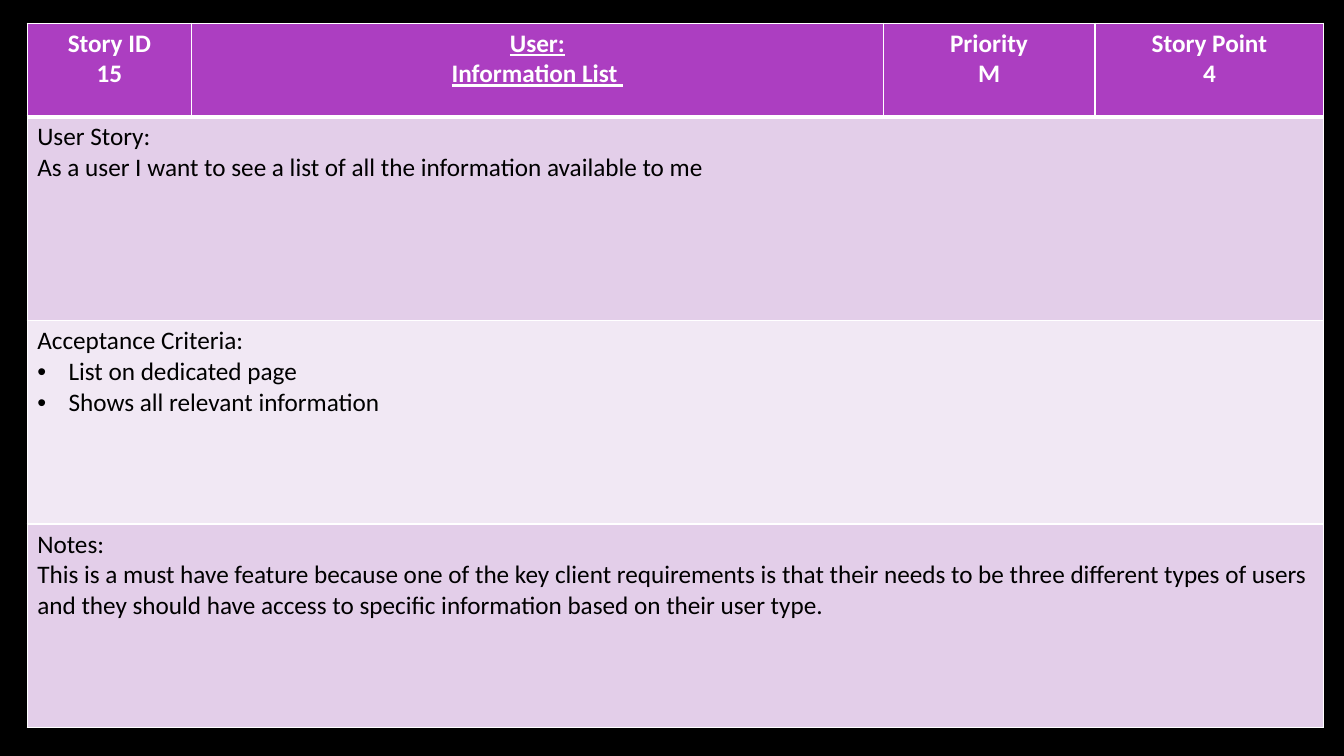
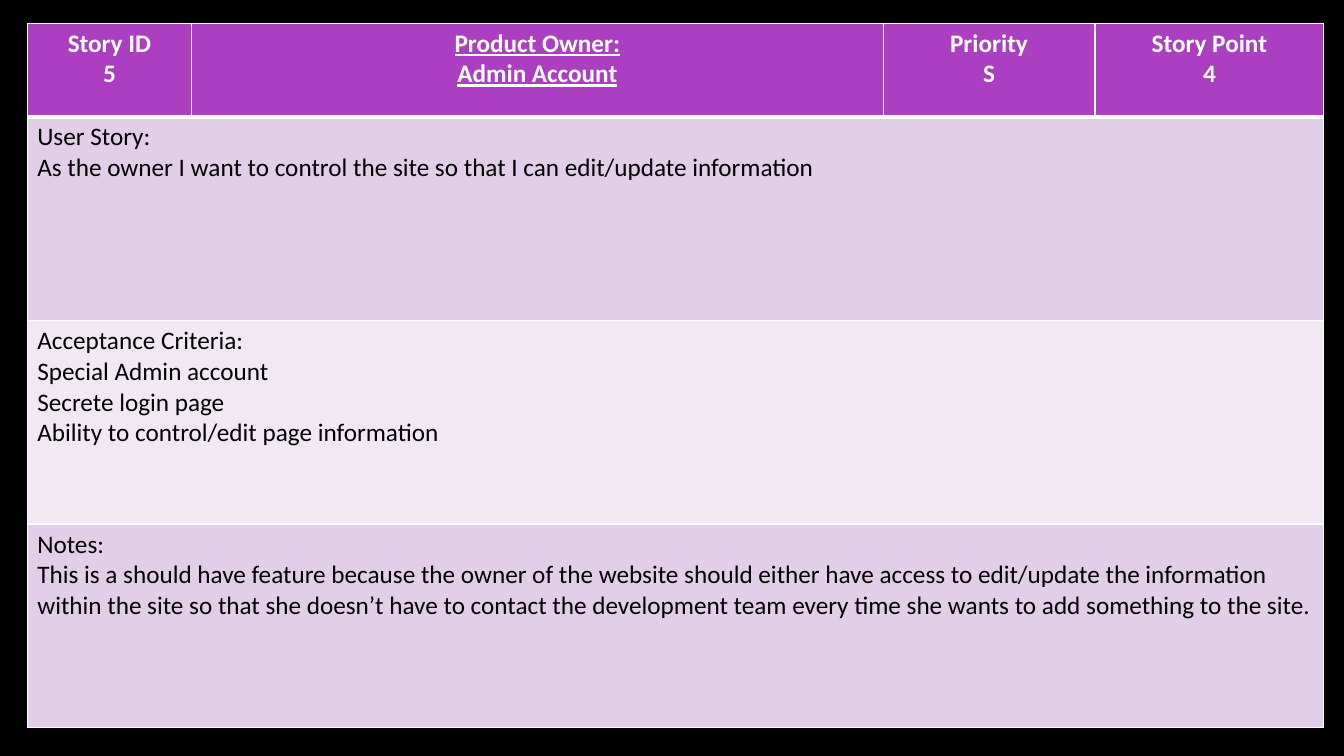
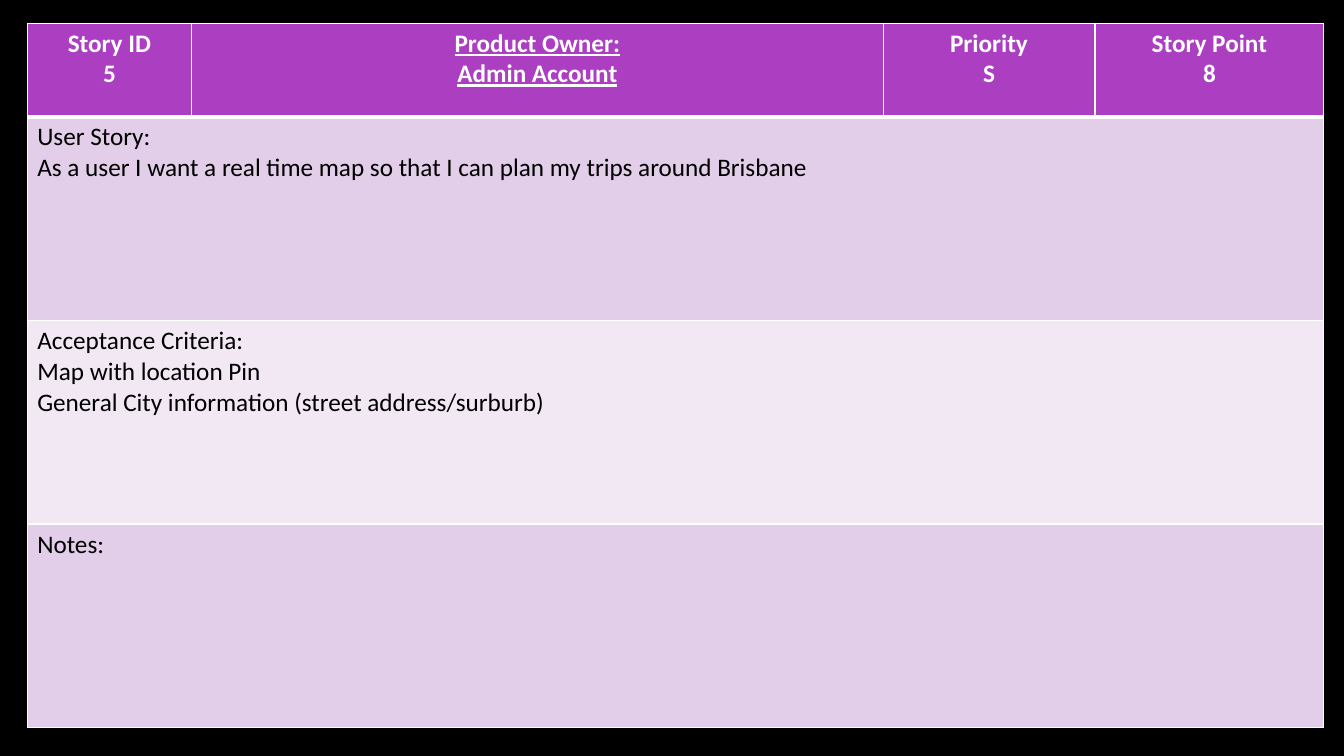
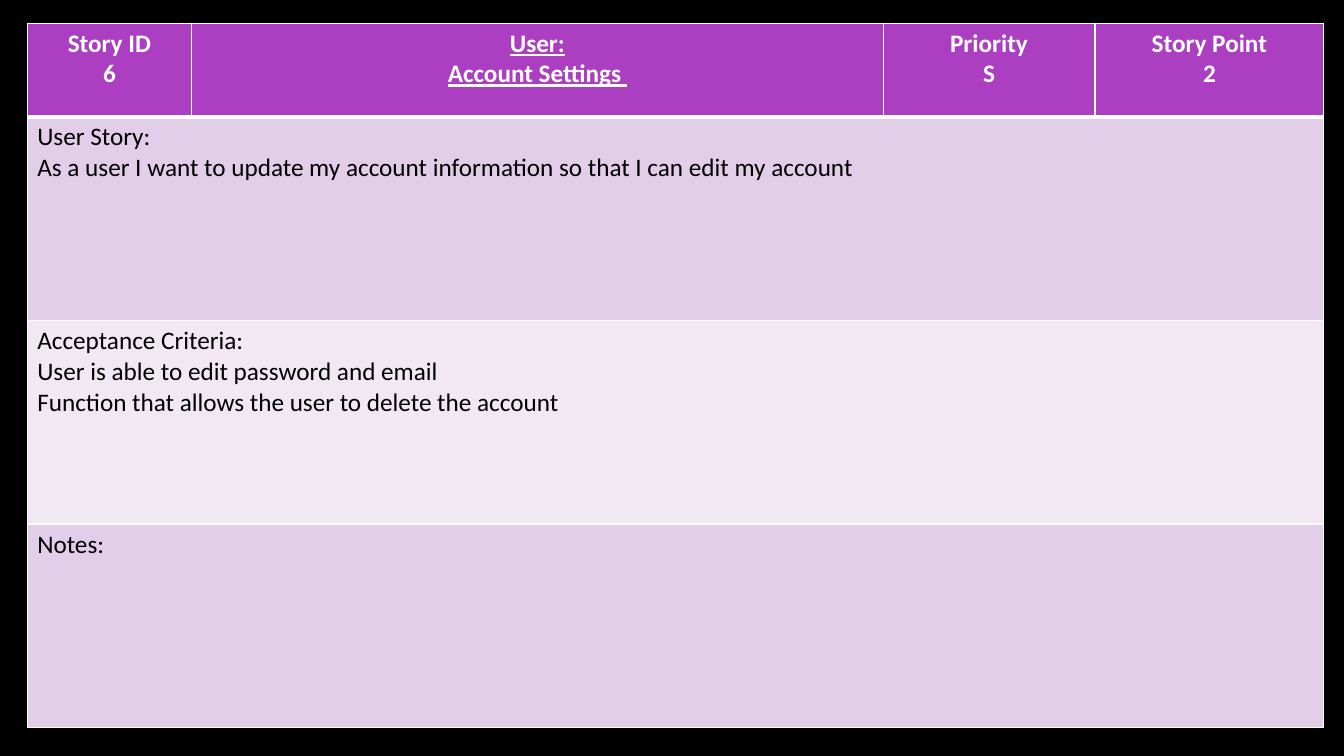
from dataclasses import dataclass

from lxml.etree import SubElement
from pptx import Presentation
from pptx.dml.color import RGBColor
from pptx.enum.text import PP_ALIGN
from pptx.oxml.ns import qn
from pptx.util import Inches, Pt

BLACK = RGBColor(0x00, 0x00, 0x00)
WHITE = RGBColor(0xFF, 0xFF, 0xFF)
PURPLE = RGBColor(0xAC, 0x3E, 0xC1)
LILAC = RGBColor(0xE3, 0xCE, 0xE9)
PALE_LILAC = RGBColor(0xF1, 0xE8, 0xF4)

FONT = "Calibri"
TEXT_SIZE = Pt(18)
THIN, THICK = Pt(1), Pt(3)
BULLET_INDENT = Inches(0.31)

CARD_BOX = (0.27, 0.23, 12.86, 6.99)
HEADER_HEIGHT = 0.93
COLUMN_WIDTHS = (1.63, 6.86, 2.1, 2.27)
BODY_FILLS = (LILAC, PALE_LILAC, LILAC)


@dataclass
class Story:
    number: str
    role: str
    name: str
    priority: str
    points: str
    wish: str
    criteria: tuple
    notes: tuple = ()
    bulleted: bool = False


STORIES = (
    Story(
        "15", "User:", "Information List ", "M", "4",
        "As a user I want to see a list of all the information available to me",
        ("List on dedicated page", "Shows all relevant information"),
        ("This is a must have feature because one of the key client requirements is that "
         "their needs to be three different types of users and they should have access to "
         "specific information based on their user type.",),
        bulleted=True,
    ),
    Story(
        "5", "Product Owner:", "Admin Account", "S", "4",
        "As the owner I want to control the site so that I can edit/update information",
        ("Special Admin account", "Secrete login page",
         "Ability to control/edit page information"),
        ("This is a should have feature because the owner of the website should either have "
         "access to edit/update the information within the site so that she doesn’t have to "
         "contact the development team every time she wants to add something to the site.",),
    ),
    Story(
        "5", "Product Owner:", "Admin Account", "S", "8",
        "As a user I want a real time map so that I can plan my trips around Brisbane",
        ("Map with location Pin", "General City information (street address/surburb)"),
    ),
    Story(
        "6", "User:", "Account Settings ", "S", "2",
        "As a user I want to update my account information so that I can edit my account",
        ("User is able to edit password and email",
         "Function that allows the user to delete the account"),
    ),
)


def style_cell(cell, fill, top=THIN, bottom=THIN):
    properties = cell._tc.get_or_add_tcPr()
    borders = (("a:lnL", THIN), ("a:lnR", THIN), ("a:lnT", top), ("a:lnB", bottom))
    for tag, width in borders:
        line = SubElement(properties, qn(tag), w=str(width))
        line_fill = SubElement(line, qn("a:solidFill"))
        SubElement(line_fill, qn("a:srgbClr"), val=str(WHITE))
    cell.fill.solid()
    cell.fill.fore_color.rgb = fill


def add_bullet(paragraph):
    properties = paragraph._p.get_or_add_pPr()
    properties.set("marL", str(BULLET_INDENT))
    properties.set("indent", str(-BULLET_INDENT))
    SubElement(properties, qn("a:buFont"), typeface="Arial")
    SubElement(properties, qn("a:buChar"), char="•")


def write_lines(cell, lines, color, bold=False, underline=False,
                alignment=PP_ALIGN.LEFT, bulleted=False):
    frame = cell.text_frame
    for index, text in enumerate(lines):
        paragraph = frame.add_paragraph() if index else frame.paragraphs[0]
        paragraph.alignment = alignment
        if bulleted and index:
            add_bullet(paragraph)
        run = paragraph.add_run()
        run.text = text
        run.font.name = FONT
        run.font.size = TEXT_SIZE
        run.font.bold = bold
        run.font.underline = underline
        run.font.color.rgb = color


def fill_header(table, story):
    headings = (
        ("Story ID", story.number),
        (story.role, story.name),
        ("Priority", story.priority),
        ("Story Point", story.points),
    )
    for column, lines in enumerate(headings):
        cell = table.cell(0, column)
        style_cell(cell, PURPLE, bottom=THICK)
        write_lines(cell, lines, WHITE, bold=True, underline=column == 1,
                    alignment=PP_ALIGN.CENTER)


def fill_body(table, story):
    sections = (
        ("User Story:", story.wish),
        ("Acceptance Criteria:", *story.criteria),
        ("Notes:", *story.notes),
    )
    last_column = len(COLUMN_WIDTHS) - 1
    for row, (lines, fill) in enumerate(zip(sections, BODY_FILLS), start=1):
        for column in range(last_column + 1):
            style_cell(table.cell(row, column), fill, top=THICK if row == 1 else THIN)
        cell = table.cell(row, 0)
        cell.merge(table.cell(row, last_column))
        write_lines(cell, lines, BLACK, bulleted=story.bulleted and row == 2)


def add_story_card(slide, box, story):
    left, top, width, height = box
    row_count = len(BODY_FILLS) + 1
    table = slide.shapes.add_table(
        row_count, len(COLUMN_WIDTHS),
        Inches(left), Inches(top), Inches(width), Inches(height),
    ).table
    table.horz_banding = False
    for column, share in zip(table.columns, COLUMN_WIDTHS):
        column.width = Inches(width * share / sum(COLUMN_WIDTHS))
    body_height = (height - HEADER_HEIGHT) / len(BODY_FILLS)
    for index, row in enumerate(table.rows):
        row.height = Inches(body_height if index else HEADER_HEIGHT)
    fill_header(table, story)
    fill_body(table, story)


def main():
    presentation = Presentation()
    presentation.slide_width = Inches(13.33)
    presentation.slide_height = Inches(7.5)
    background = presentation.slide_master.background.fill
    background.solid()
    background.fore_color.rgb = BLACK
    blank_layout = presentation.slide_layouts.get_by_name("Blank")
    for story in STORIES:
        slide = presentation.slides.add_slide(blank_layout)
        add_story_card(slide, CARD_BOX, story)
    presentation.save("out.pptx")


if __name__ == "__main__":
    main()
